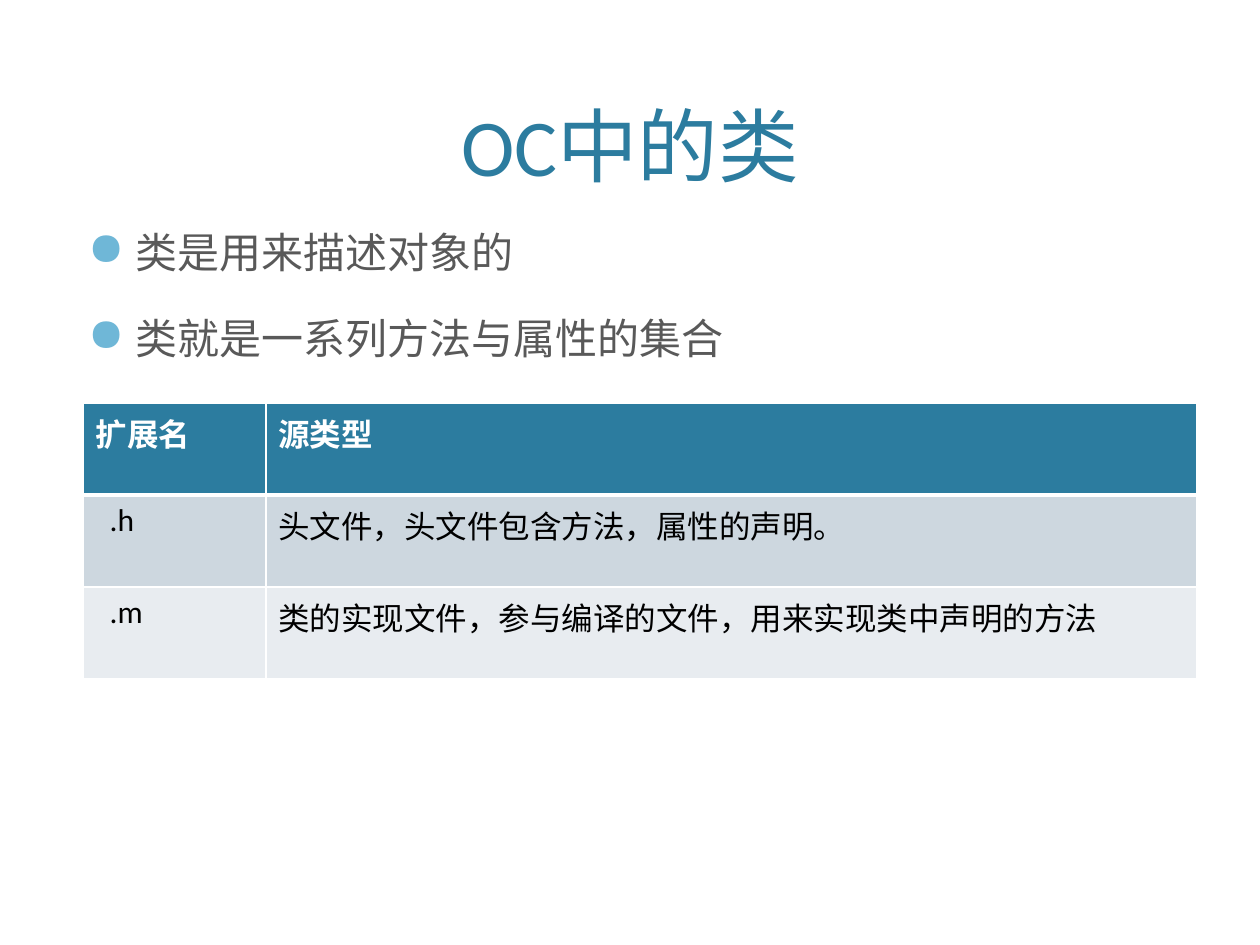
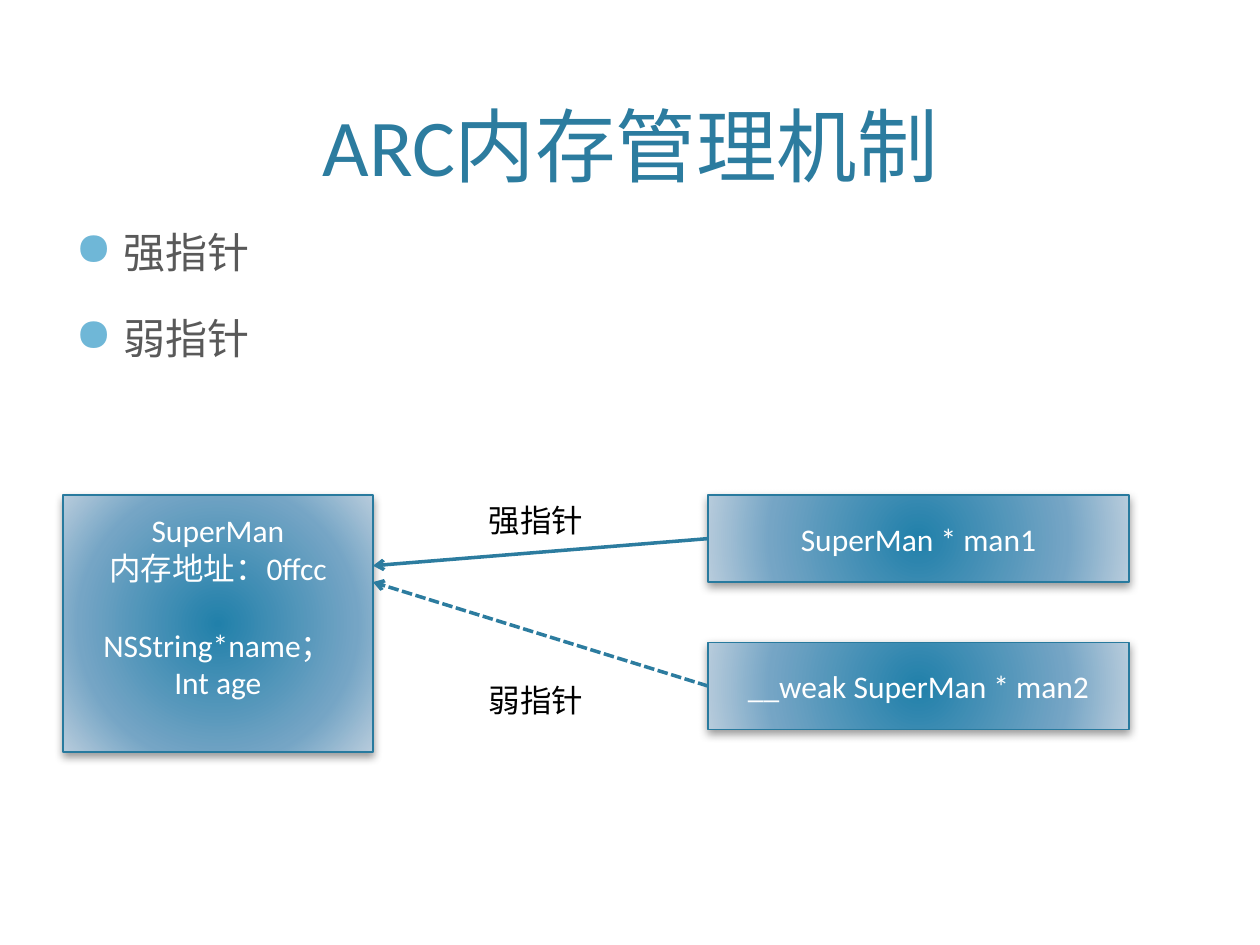
"""Build two slides on Objective-C classes and ARC memory management."""
from dataclasses import dataclass
from typing import Any, Optional

from pptx import Presentation, oxml
from pptx import util as u
from pptx.dml import color
from pptx.enum import dml, shapes, text
from pptx.oxml import ns


@dataclass(frozen=True)
class Theme:
    font: str = "Calibri"
    accent: str = "2C7C9F"
    outline: str = "287A9E"
    bullet: str = "6FB7D7"
    body: str = "595959"
    dark: str = "000000"
    light: str = "FFFFFF"
    bands: tuple = ("CDD7DF", "E8ECF0")
    glow: tuple = ((0, "2180AA"), (69, "75A5C5"), (100, "B8CCDC"))
    title_size: int = 46
    body_size: int = 24
    small_size: int = 18


@dataclass(frozen=True)
class Box:
    left: float
    top: float
    width: float
    height: float

    def lengths(self) -> tuple:
        return tuple(u.Inches(v) for v in (self.left, self.top, self.width, self.height))


@dataclass(frozen=True)
class Pointer:
    label: str
    label_box: Box
    variable: str
    top: float
    target_y: float
    dash: Optional[Any] = None


THEME = Theme()
TITLE_BOX = Box(0.6, 0.12, 8.8, 1.46)
OBJECT_BOX = Box(0.5, 3.93, 2.46, 2.04)


def apply(target: Any, values: dict) -> None:
    for name, value in values.items():
        setattr(target, name, value)


def add_xml(parent: Any, xml: str) -> Any:
    element = oxml.parse_xml(xml.replace(" ", f" {ns.nsdecls('a')} ", 1))
    parent.append(element)
    return element


def rgb(value: str) -> color.RGBColor:
    return color.RGBColor.from_string(value)


def write(paragraph: Any, words: str, size: int, ink: str, bold: bool = False,
          align: Any = text.PP_ALIGN.LEFT) -> None:
    paragraph.alignment = align
    run = paragraph.add_run()
    run.text = words
    apply(run.font, {"name": THEME.font, "size": u.Pt(size), "bold": bold})
    run.font.color.rgb = rgb(ink)


def add_titled_slide(deck: Any, title: str) -> Any:
    slide = deck.slides.add_slide(deck.slide_layouts[5])
    heading = slide.shapes.title
    apply(heading, dict(zip(("left", "top", "width", "height"), TITLE_BOX.lengths())))
    apply(heading.text_frame, {"vertical_anchor": text.MSO_ANCHOR.BOTTOM,
                               "auto_size": text.MSO_AUTO_SIZE.NONE, "word_wrap": True})
    write(heading.text_frame.paragraphs[0], title, THEME.title_size, THEME.accent,
          align=text.PP_ALIGN.CENTER)
    return slide


def add_bullets(slide: Any, box: Box, points: list[str]) -> None:
    frame = slide.shapes.add_textbox(*box.lengths()).text_frame
    frame.word_wrap = True
    for index, point in enumerate(points):
        paragraph = frame.add_paragraph() if index else frame.paragraphs[0]
        write(paragraph, point, THEME.body_size, THEME.body)
        paragraph.space_before = u.Pt(20 if index else 0)
        props = paragraph._p.get_or_add_pPr()
        props.set("marL", str(u.Inches(0.38)))
        props.set("indent", str(-u.Inches(0.38)))
        add_xml(props, f'<a:buClr ><a:srgbClr val="{THEME.bullet}"/></a:buClr>')
        add_xml(props, '<a:buSzPct val="110000"/>')
        add_xml(props, '<a:buChar char="●"/>')


def add_borders(cell: Any, weights: dict[str, int]) -> None:
    props = cell._tc.get_or_add_tcPr()
    for side, weight in weights.items():
        add_xml(props, f'<a:ln{side} w="{u.Pt(weight)}"><a:solidFill>'
                       f'<a:srgbClr val="{THEME.light}"/></a:solidFill></a:ln{side}>')


def add_file_table(slide: Any, box: Box, rows: list[tuple[str, str]]) -> None:
    table = slide.shapes.add_table(len(rows), 2, *box.lengths()).table
    for column, width in zip(table.columns, (1.45, 7.39)):
        column.width = u.Inches(width)
    for r, entries in enumerate(rows):
        table.rows[r].height = u.Inches(0.73)
        for c, entry in enumerate(entries):
            cell = table.cell(r, c)
            add_borders(cell, {"L": 1, "R": 1, "T": 3 if r == 1 else 1, "B": 1 if r else 3})
            cell.fill.solid()
            cell.fill.fore_color.rgb = rgb(THEME.bands[r - 1] if r else THEME.accent)
            cell.margin_left = u.Inches(0.21 if r and not c else 0.1)
            write(cell.text_frame.paragraphs[0], entry, THEME.small_size,
                  THEME.dark if r else THEME.light, bold=not r)


def add_glow_box(slide: Any, box: Box, lines: list[str]) -> Any:
    shape = slide.shapes.add_shape(shapes.MSO_SHAPE.RECTANGLE, *box.lengths())
    shape.fill.background()
    shape.line.color.rgb = rgb(THEME.outline)
    shape.line.width = u.Pt(1)
    shape.shadow.inherit = False
    props = shape._element.spPr
    stops = "".join(f'<a:gs pos="{pos * 1000}"><a:srgbClr val="{ink}"/></a:gs>'
                    for pos, ink in THEME.glow)
    gradient = add_xml(props, f'<a:gradFill rotWithShape="1"><a:gsLst>{stops}</a:gsLst>'
                              '<a:path path="circle"><a:fillToRect l="50000" t="50000" '
                              'r="50000" b="50000"/></a:path></a:gradFill>')
    props.replace(props.find(ns.qn("a:noFill")), gradient)
    add_xml(props.find(ns.qn("a:effectLst")),
            f'<a:outerShdw blurRad="{u.Pt(5)}" dist="{u.Pt(2)}" dir="5400000" '
            f'rotWithShape="0"><a:srgbClr val="{THEME.dark}"><a:alpha val="40000"/>'
            '</a:srgbClr></a:outerShdw>')
    frame = shape.text_frame
    apply(frame, {"vertical_anchor": text.MSO_ANCHOR.MIDDLE, "word_wrap": True})
    for index, line in enumerate(lines):
        paragraph = frame.add_paragraph() if index else frame.paragraphs[0]
        write(paragraph, line, THEME.small_size, THEME.light, align=text.PP_ALIGN.CENTER)
    return shape


def add_pointer(slide: Any, pointer: Pointer) -> None:
    box = Box(5.62, pointer.top, 3.34, 0.69)
    variable = add_glow_box(slide, box, [pointer.variable])
    ends = (box.left, box.top + box.height / 2,
            OBJECT_BOX.left + OBJECT_BOX.width, pointer.target_y)
    arrow = slide.shapes.add_connector(shapes.MSO_CONNECTOR.STRAIGHT,
                                       *(u.Inches(v) for v in ends))
    arrow.begin_connect(variable, 1)
    arrow.line.color.rgb = rgb(THEME.accent)
    apply(arrow.line, {"width": u.Pt(2), "dash_style": pointer.dash})
    add_xml(arrow.line._get_or_add_ln(), '<a:tailEnd type="arrow"/>')
    add_xml(arrow._element.spPr, "<a:effectLst />")
    label = slide.shapes.add_textbox(*pointer.label_box.lengths()).text_frame
    label.word_wrap = True
    write(label.paragraphs[0], pointer.label, THEME.small_size, THEME.dark)


def build_class_slide(deck: Any) -> None:
    slide = add_titled_slide(deck, "OC中的类")
    add_bullets(slide, Box(0.6, 1.75, 8.8, 1.32),
                ["类是用来描述对象的", "类就是一系列方法与属性的集合"])
    add_file_table(slide, Box(0.66, 3.2, 8.84, 2.19), [
        ("扩展名", "源类型"),
        (".h", "头文件，头文件包含方法，属性的声明。"),
        (".m", "类的实现文件，参与编译的文件，用来实现类中声明的方法"),
    ])


def build_memory_slide(deck: Any) -> None:
    slide = add_titled_slide(deck, "ARC内存管理机制")
    add_bullets(slide, Box(0.5, 1.75, 9, 1.32), ["强指针", "弱指针"])
    instance = add_glow_box(slide, OBJECT_BOX, [
        "SuperMan", "内存地址：0ffcc", "NSString*name；", "Int age"]).text_frame
    apply(instance, {"vertical_anchor": text.MSO_ANCHOR.TOP, "margin_top": u.Inches(0.13)})
    instance.paragraphs[2].space_before = u.Pt(22)
    for pointer in (
        Pointer("强指针", Box(3.78, 3.93, 1.42, 0.4), "SuperMan * man1", 3.93, 4.49),
        Pointer("弱指针", Box(3.78, 5.36, 1.54, 0.4), "__weak SuperMan * man2", 5.1, 4.62,
                dml.MSO_LINE.SQUARE_DOT),
    ):
        add_pointer(slide, pointer)


def main() -> None:
    deck = Presentation()
    apply(deck, {"slide_width": u.Inches(10), "slide_height": u.Inches(7.5)})
    build_class_slide(deck)
    build_memory_slide(deck)
    deck.save("out.pptx")


main()
